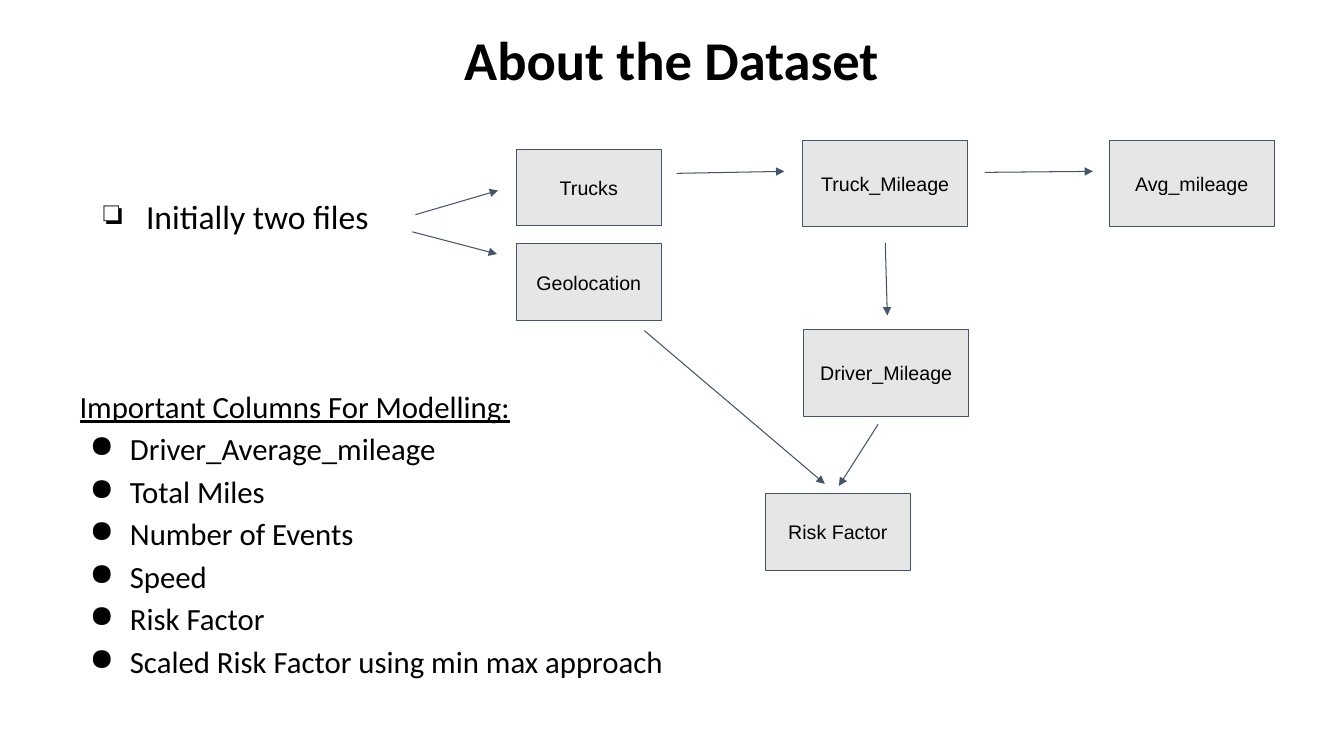
from dataclasses import dataclass
from lxml.etree import SubElement
from pptx import Presentation
from pptx.dml.color import RGBColor
from pptx.enum.shapes import MSO_CONNECTOR, MSO_SHAPE
from pptx.enum.text import MSO_ANCHOR, PP_ALIGN
from pptx.oxml.ns import qn
from pptx.util import Inches, Pt

BLACK = RGBColor(0x00, 0x00, 0x00)
GREY = RGBColor(0xE7, 0xE6, 0xE6)
SLATE = RGBColor(0x44, 0x54, 0x6A)
WIDE, HIGH = Inches(13.33), Inches(7.5)
SMALL, LARGE = (10.8, 10.13), (12.3, 11.47)


@dataclass
class Table:
    name: str
    left: float
    top: float
    size: tuple[float, float]


@dataclass
class Arrow:
    start: tuple[float, float]
    end: tuple[float, float]


TABLES = [
    Table("Geolocation", 38.41, 32.27, SMALL),
    Table("Trucks", 38.41, 19.73, SMALL),
    Table("Truck_Mileage", 59.71, 18.53, LARGE),
    Table("Avg_mileage", 82.52, 18.53, LARGE),
    Table("Driver_Mileage", 59.79, 43.6, LARGE),
    Table("Risk Factor", 56.94, 65.33, SMALL),
]

ARROWS = [
    Arrow((30.91, 28.4), (37.06, 25.2)),
    Arrow((30.68, 30.67), (36.98, 33.6)),
    Arrow((50.34, 22.93), (58.36, 22.67)),
    Arrow((73.29, 22.8), (81.32, 22.67)),
    Arrow((65.87, 32.13), (66.02, 41.73)),
    Arrow((47.94, 43.73), (61.37, 64)),
    Arrow((65.34, 56.13), (62.42, 64.27)),
]

FIELDS = [
    "Driver_Average_mileage",
    "Total Miles",
    "Number of Events",
    "Speed",
    "Risk Factor",
    "Scaled Risk Factor using min max approach",
]


def across(share: float) -> int:
    return round(WIDE * share / 100)


def down(share: float) -> int:
    return round(HIGH * share / 100)


def place(left: float, top: float, width: float, height: float) -> tuple[int, int, int, int]:
    return across(left), down(top), across(width), down(height)


def set_frame(shape, anchor=MSO_ANCHOR.TOP, pad: float = 0.1):
    frame = shape.text_frame
    frame.word_wrap = True
    frame.vertical_anchor = anchor
    frame.margin_left = frame.margin_right = Inches(0.1)
    frame.margin_top = frame.margin_bottom = Inches(pad)
    return frame


def add_text(frame, text: str, *, size: float, font: str = "Calibri", bold: bool = False,
             line: bool = False, align=PP_ALIGN.LEFT, space: float = 1.0,
             mark: str = "", hang: float = 0.4) -> None:
    para = frame.paragraphs[0]
    if para.runs:
        para = frame.add_paragraph()
    para.alignment = align
    para.line_spacing = space
    if mark:
        props = para._p.get_or_add_pPr()
        props.set("marL", str(Inches(0.5)))
        props.set("indent", str(-Inches(hang)))
        tint = SubElement(props, qn("a:buClr"))
        SubElement(tint, qn("a:srgbClr")).set("val", str(BLACK))
        SubElement(props, qn("a:buChar")).set("char", mark)
    run = para.add_run()
    run.text = text
    run.font.name = font
    run.font.size = Pt(size)
    run.font.bold = bold
    run.font.underline = line
    run.font.color.rgb = BLACK


def draw_table(slide, table: Table) -> None:
    box = slide.shapes.add_shape(MSO_SHAPE.RECTANGLE,
                                 *place(table.left, table.top, *table.size))
    box.shadow.inherit = False
    box.fill.solid()
    box.fill.fore_color.rgb = GREY
    box.line.color.rgb = SLATE
    box.line.width = Pt(0.75)
    frame = set_frame(box, MSO_ANCHOR.MIDDLE)
    add_text(frame, table.name, size=14, font="Arial", align=PP_ALIGN.CENTER)


def draw_arrow(slide, arrow: Arrow) -> None:
    (left, top), (right, low) = arrow.start, arrow.end
    link = slide.shapes.add_connector(MSO_CONNECTOR.STRAIGHT, across(left), down(top),
                                      across(right), down(low))
    link.line.color.rgb = SLATE
    link.line.width = Pt(0.75)
    SubElement(link.line._get_or_add_ln(), qn("a:tailEnd")).set("type", "triangle")
    SubElement(link._element.spPr, qn("a:effectLst"))


def main() -> None:
    deck = Presentation()
    deck.slide_width, deck.slide_height = WIDE, HIGH
    slide = deck.slides.add_slide(deck.slide_layouts[6])
    shapes = slide.shapes

    title = set_frame(shapes.add_textbox(*place(3.38, 1.07, 93.17, 14.53)),
                      MSO_ANCHOR.MIDDLE, pad=0.05)
    add_text(title, "About the Dataset", size=39, bold=True,
             align=PP_ALIGN.CENTER, space=0.9)

    files = set_frame(shapes.add_textbox(*place(6.38, 25.87, 50.41, 15.07)), pad=0.05)
    add_text(files, "Initially two files", size=24, space=0.9, mark="❏", hang=0.42)

    fields = set_frame(shapes.add_textbox(*place(5.18, 49.2, 78.09, 47.33)))
    add_text(fields, "Important Columns For Modelling:", size=22, line=True, space=1.15)
    for field in FIELDS:
        add_text(fields, field, size=22, space=1.15, mark="●")

    for table in TABLES:
        draw_table(slide, table)
    for arrow in ARROWS:
        draw_arrow(slide, arrow)
    deck.save("out.pptx")


if __name__ == "__main__":
    main()
